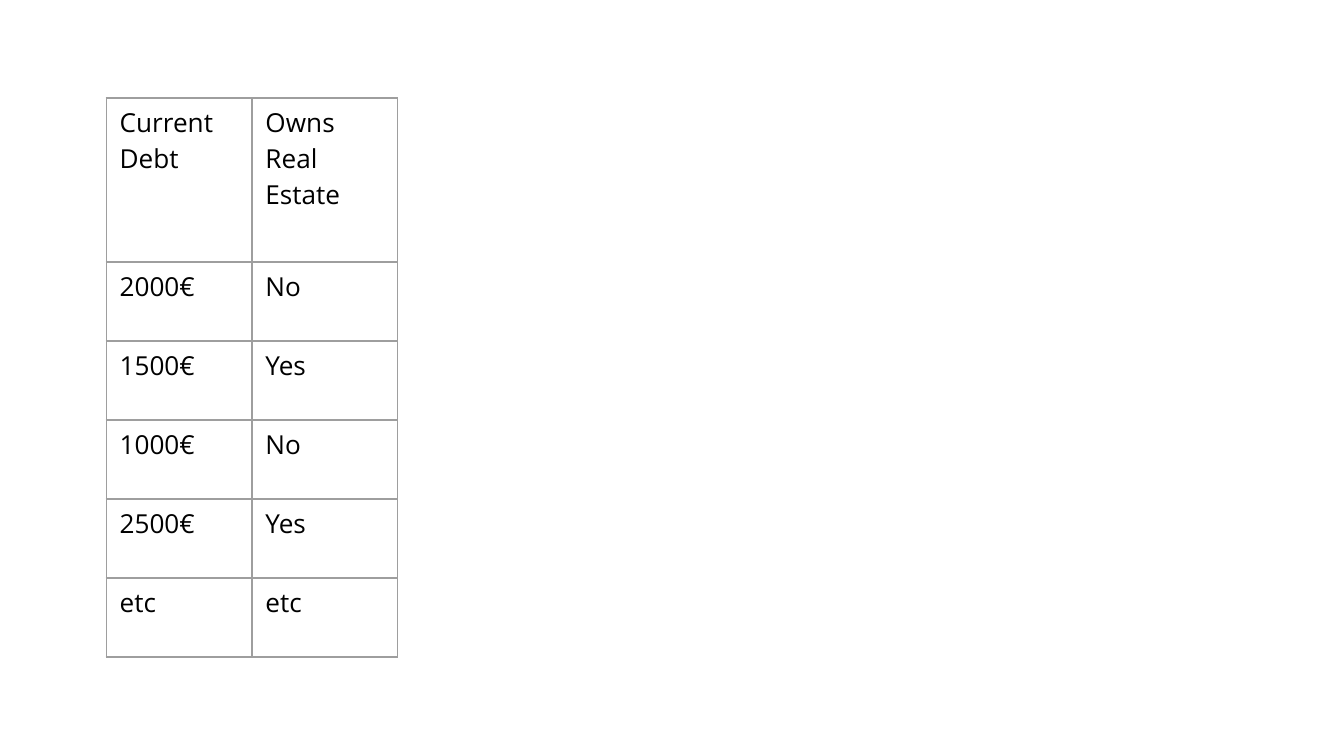
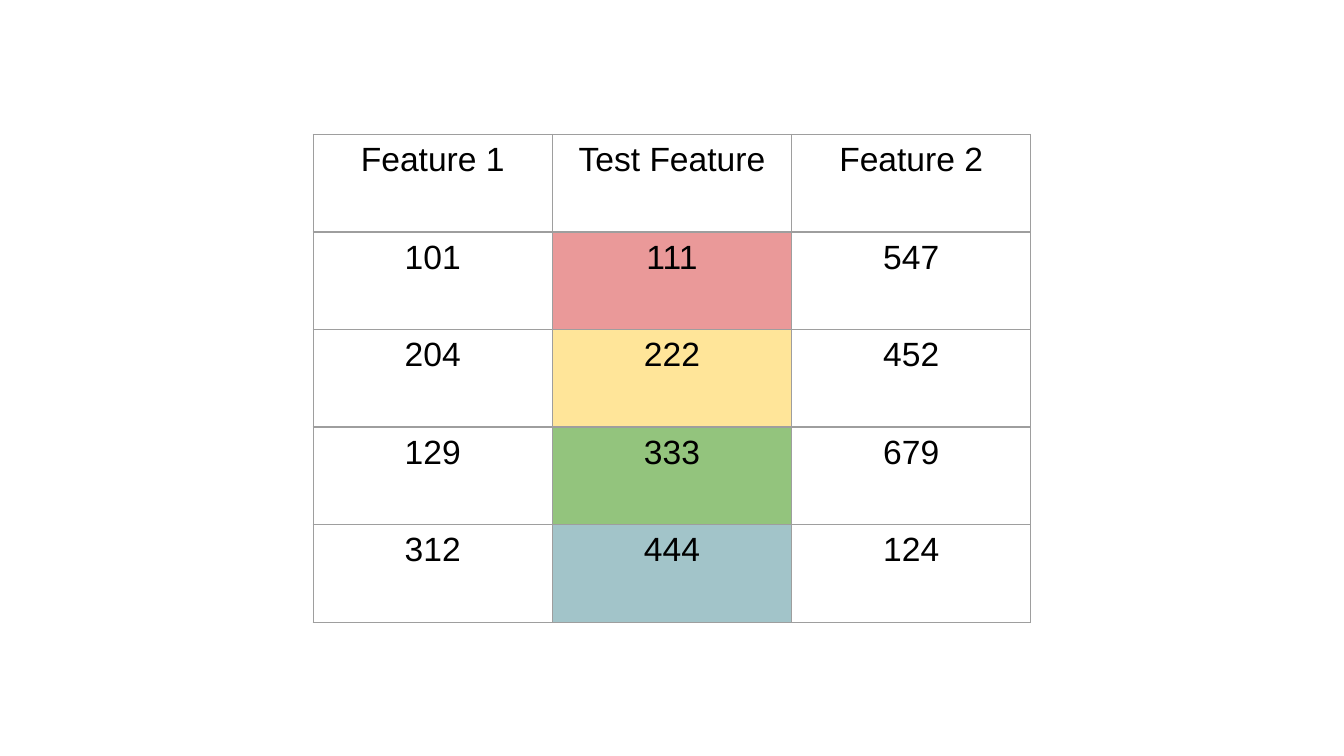
from lxml import etree
from pptx import Presentation
from pptx.dml.color import RGBColor
from pptx.enum.text import PP_ALIGN
from pptx.oxml.ns import qn
from pptx.util import Inches, Pt

LEFT, CENTER = PP_ALIGN.LEFT, PP_ALIGN.CENTER
WIDTH = 10
HEIGHT = WIDTH * 9 / 16
BLACK = RGBColor(0x00, 0x00, 0x00)
GRAY = RGBColor(0x9E, 0x9E, 0x9E)
RED = RGBColor(0xEA, 0x99, 0x99)
YELLOW = RGBColor(0xFF, 0xE5, 0x99)
GREEN = RGBColor(0x93, 0xC4, 0x7D)
BLUE = RGBColor(0xA2, 0xC4, 0xC9)

DEBTS = [
    ("Current\nDebt", "Owns Real Estate"),
    ("2000€", "No"),
    ("1500€", "Yes"),
    ("1000€", "No"),
    ("2500€", "Yes"),
    ("etc", "etc"),
]
FEATURES = [
    ("Feature 1", "Test Feature", "Feature 2"),
    ("101", "111", "547"),
    ("204", "222", "452"),
    ("129", "333", "679"),
    ("312", "444", "124"),
]


def write(frame, text, font="Arial", size=18, color=BLACK, align=LEFT):
    """Fill a text frame, one paragraph for each line of text."""
    frame.text = text
    for para in frame.paragraphs:
        para.alignment = align
        for run in para.runs:
            run.font.name = font
            run.font.size = Pt(size)
            run.font.color.rgb = color


def frame_cell(cell, color=GRAY, width=0.75):
    """Draw a line on all four sides of a cell."""
    props = cell._tc.get_or_add_tcPr()
    for spot, side in enumerate(("lnL", "lnR", "lnT", "lnB")):
        line = etree.Element(qn(f"a:{side}"), w=str(Pt(width)))
        fill = etree.SubElement(line, qn("a:solidFill"))
        etree.SubElement(fill, qn("a:srgbClr"), val=str(color))
        props.insert(spot, line)


def add_grid(slide, data, box, head, fills=None, **style):
    """Place a table in box: a head row, then equal rows and columns."""
    width, height = box[2:]
    rows, cols = len(data), len(data[0])
    table = slide.shapes.add_table(rows, cols, *map(Inches, box)).table
    table.first_row = table.horz_banding = False
    for col in table.columns:
        col.width = Inches(width / cols)
    for r, row in enumerate(table.rows):
        row.height = Inches(head if r == 0 else (height - head) / (rows - 1))
        for c, cell in enumerate(row.cells):
            write(cell.text_frame, data[r][c], **style)
            color = (fills or {}).get((r, c))
            if color is None:
                cell.fill.background()
            else:
                cell.fill.solid()
                cell.fill.fore_color.rgb = color
            frame_cell(cell)


def debt_slide(slide):
    add_grid(slide, DEBTS, (0.79, 0.73, 2.17, 4.16), 1.22,
             font="Open Sans", size=14)


def feature_slide(slide):
    box = (2.33, 1, 5.34, 3.63)
    tints = (RED, YELLOW, GREEN, BLUE)
    fills = {(r, 1): tint for r, tint in enumerate(tints, 1)}
    add_grid(slide, FEATURES, box, box[3] / len(FEATURES), fills,
             align=CENTER)


def main():
    deck = Presentation()
    deck.slide_width, deck.slide_height = Inches(WIDTH), Inches(HEIGHT)
    blank = deck.slide_layouts[6]
    for build in (debt_slide, feature_slide):
        build(deck.slides.add_slide(blank))
    deck.save("out.pptx")


if __name__ == "__main__":
    main()
